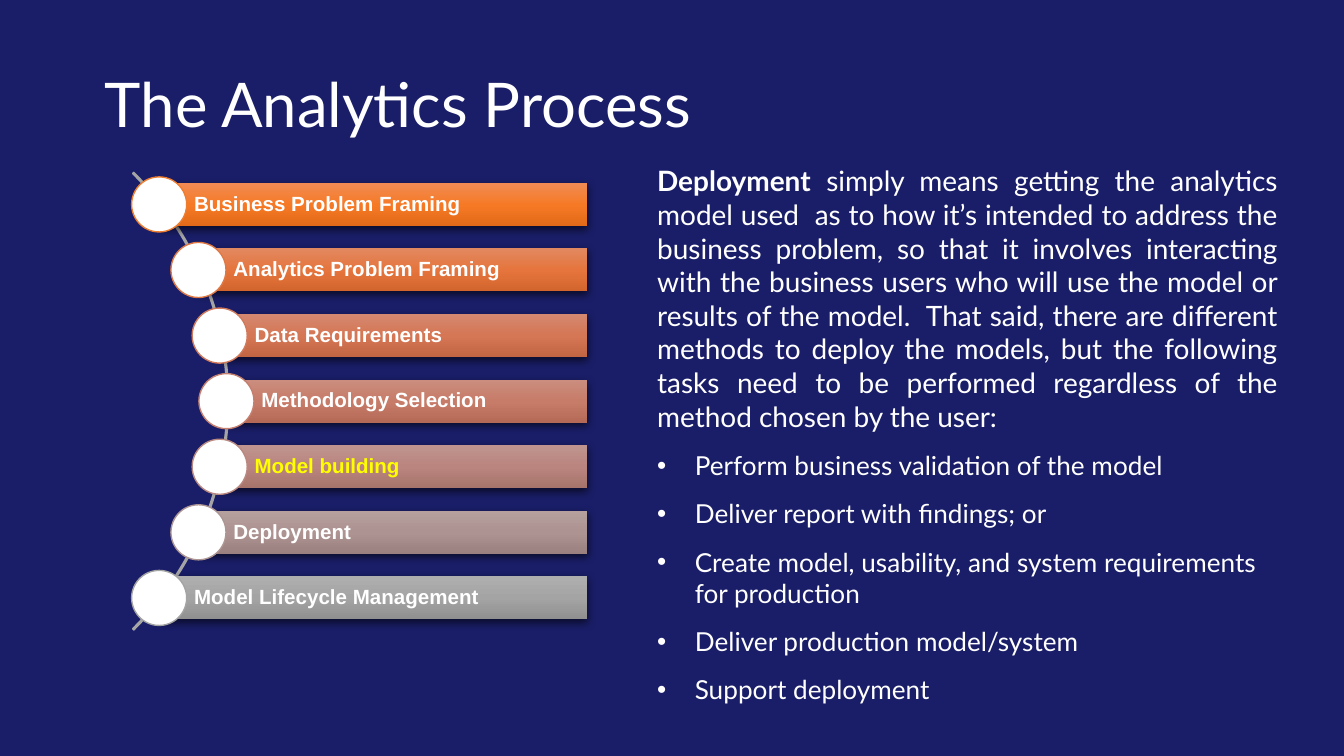
from math import sqrt

from lxml import etree
from pptx import Presentation
from pptx.dml.color import RGBColor
from pptx.enum.shapes import MSO_SHAPE
from pptx.enum.text import MSO_ANCHOR, PP_ALIGN
from pptx.oxml.ns import qn
from pptx.util import Inches, Pt

RECT, OVAL, ARC = MSO_SHAPE.RECTANGLE, MSO_SHAPE.OVAL, MSO_SHAPE.BLOCK_ARC
TOP, MIDDLE = MSO_ANCHOR.TOP, MSO_ANCHOR.MIDDLE
LEFT, JUSTIFY = PP_ALIGN.LEFT, PP_ALIGN.JUSTIFY

NAVY = RGBColor(0x1A, 0x1E, 0x68)
WHITE = RGBColor(0xFF, 0xFF, 0xFF)
YELLOW = RGBColor(0xFF, 0xFF, 0x00)
GREY = RGBColor(0xA5, 0xA5, 0xA5)

STEPS = [
    ("Business Problem Framing", WHITE, "F08B54 F67A26 E36A18 ED7D31"),
    ("Analytics Problem Framing", WHITE, "E28860 E5753D D2652D DE7946"),
    ("Data Requirements", WHITE, "D58870 D57755 C26543 D07A5B"),
    ("Methodology Selection", WHITE, "CA8D7E C77C69 B56A57 C47F6E"),
    ("Model building", YELLOW, "BF948F BA857E A7746B B88881"),
    ("Deployment", WHITE, "B5A09E AD9391 9A807E AD9593"),
    ("Model Lifecycle Management", WHITE, "AEAEAE A4A4A4 909090 A4A4A4"),
]
INTRO = (
    " simply means getting the analytics model used  as to how it’s intended "
    "to address the business problem, so that it involves interacting with the "
    "business users who will use the model or results of the model.  That said, "
    "there are different methods to deploy the models, but the following tasks "
    "need to be performed regardless of the method chosen by the user:"
)
TASKS = [
    "Perform business validation of the model",
    "Deliver report with findings; or",
    "Create model, usability, and system requirements for production",
    "Deliver production model/system",
    "Support deployment",
]


def grid(n):
    return Inches(n / 10)


def add_run(p, text, size=11, font="Lato", color=WHITE, bold=False):
    r = p.add_run()
    r.text = text
    r.font.size, r.font.name, r.font.bold = Pt(size), font, bold
    r.font.color.rgb = color


def sub(parent, tag, **attrs):
    return etree.SubElement(parent, qn(tag), attrs)


class Deck:
    def __init__(self, prs):
        self.s = prs.slides.add_slide(prs.slide_layouts[6])
        self.s.background.fill.solid()
        self.s.background.fill.fore_color.rgb = NAVY

    def frame(self, sp, insets, anchor):
        tf = sp.text_frame
        tf.word_wrap, tf.vertical_anchor = True, anchor
        (tf.margin_left, tf.margin_top,
         tf.margin_right, tf.margin_bottom) = map(Inches, insets)
        return tf

    def text_box(self, x, y, w, h, anchor=TOP):
        sp = self.s.shapes.add_textbox(*map(grid, (x, y, w, h)))
        return self.frame(sp, (0.04, 0.02, 0.04, 0.02), anchor)

    def shape(self, kind, x, y, w, h, fill=None, line=None, width=1):
        sp = self.s.shapes.add_shape(kind, *map(grid, (x, y, w, h)))
        sp.shadow.inherit = False
        if fill is None:
            sp.fill.background()
        else:
            sp.fill.solid()
            sp.fill.fore_color.rgb = fill
        if line is None:
            sp.line.fill.background()
        else:
            sp.line.color.rgb = line
            sp.line.width = Pt(width)
        return sp

    def bar(self, x, y, w, h, colors, text, color):
        sp = self.shape(RECT, x, y, w, h)
        sp.fill.gradient()
        sp.fill.gradient_angle = 270
        stops = sp._element.spPr.find(".//" + qn("a:gsLst"))
        for gs in list(stops):
            stops.remove(gs)
        for i, value in enumerate(colors):
            gs = sub(stops, "a:gs", pos=str(i * 50000))
            sub(gs, "a:srgbClr", val=value)
        effects = sp._element.spPr.find(qn("a:effectLst"))
        shadow = sub(effects, "a:outerShdw", blurRad=str(Pt(4.5)),
                     dist=str(Pt(1.5)), dir="5400000", rotWithShape="0")
        sub(sub(shadow, "a:srgbClr", val="000000"), "a:alpha", val="62000")
        p = self.frame(sp, (0.26, 0.03, 0.03, 0.03), MIDDLE).paragraphs[0]
        p.alignment, p.line_spacing = LEFT, 0.9
        add_run(p, text, font="Arial", color=color, bold=True)

    def bullet(self, tf, text):
        p = tf.add_paragraph()
        pPr = p._p.get_or_add_pPr()
        pPr.set("marL", str(Inches(0.28)))
        pPr.set("indent", str(-Inches(0.28)))
        sub(sub(pPr, "a:buClr"), "a:srgbClr", val=str(WHITE))
        sub(pPr, "a:buFont", typeface="Arial")
        sub(pPr, "a:buChar", char="•")
        p.space_before = Pt(9)
        add_run(p, text, size=14)

    def process(self, cx, cy, radius, right, pitch, bar_h, dot):
        arc = self.shape(ARC, cx - radius, cy - radius, 2 * radius, 2 * radius,
                         line=GREY)
        for i, value in enumerate((189, 27, 0.002)):
            arc.adjustments[i] = value
        for i, (text, color, palette) in enumerate(STEPS):
            *colors, outline = palette.split()
            dy = (i - (len(STEPS) - 1) / 2) * pitch
            x, y = cx + sqrt((radius - 0.15) ** 2 - dy ** 2), cy + dy
            self.bar(x, y - bar_h / 2, right - x, bar_h, colors, text, color)
            self.shape(OVAL, x - dot / 2, y - dot / 2, dot, dot, WHITE,
                       RGBColor.from_string(outline), 0.75)


def main():
    prs = Presentation()
    prs.slide_width, prs.slide_height = grid(100), grid(56.25)
    deck = Deck(prs)

    tf = deck.text_box(48.5, 12, 47, 40.5)
    p = tf.paragraphs[0]
    p.alignment = JUSTIFY
    add_run(p, "Deployment", size=15, bold=True)
    add_run(p, INTRO, size=15)
    for task in TASKS:
        deck.bullet(tf, task)

    p = deck.text_box(7.4, 2.7, 71.1, 10.6, MIDDLE).paragraphs[0]
    p.line_spacing = 0.9
    add_run(p, "The Analytics Process", size=33)

    deck.process(cx=-7.05, cy=29.85, radius=24.05, right=43.7,
                 pitch=4.88, bar_h=3.2, dot=4.1)
    prs.save("out.pptx")


if __name__ == "__main__":
    main()
